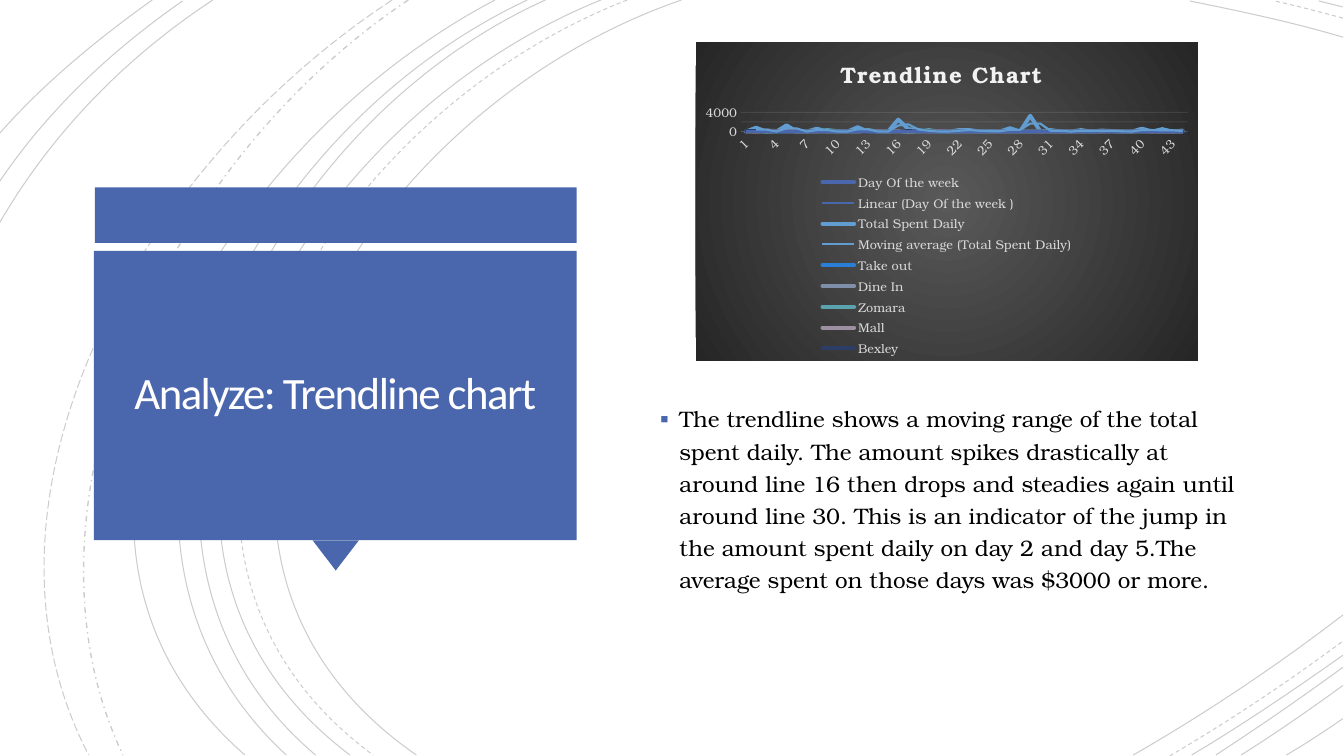
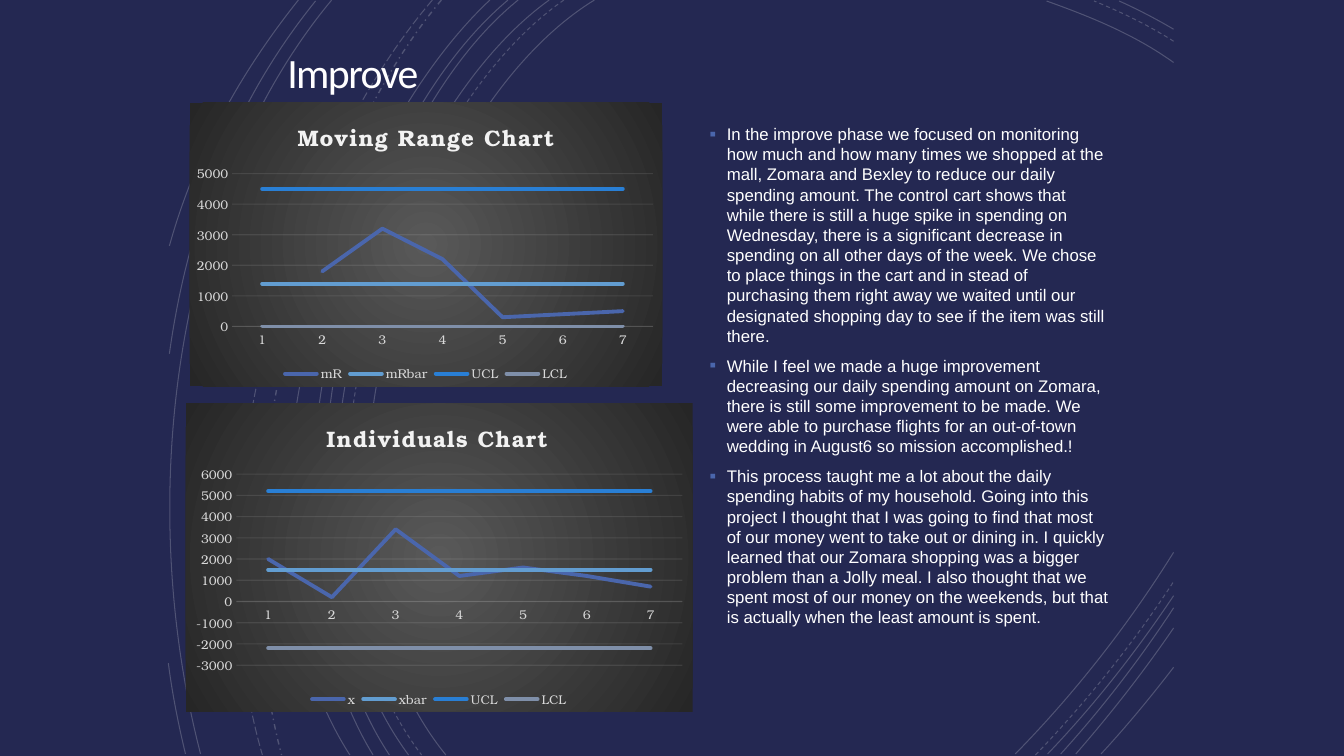
from lxml import etree
from pptx import Presentation
from pptx.chart.data import CategoryChartData
from pptx.dml.color import RGBColor
from pptx.enum.chart import XL_CHART_TYPE, XL_LEGEND_POSITION, XL_TICK_MARK
from pptx.enum.dml import MSO_LINE
from pptx.enum.shapes import MSO_SHAPE
from pptx.enum.text import MSO_ANCHOR, PP_ALIGN
from pptx.oxml import parse_xml
from pptx.oxml.ns import nsdecls, qn
from pptx.util import Inches, Pt

# Colours and fonts
WHITE = RGBColor(0xFF, 0xFF, 0xFF)
BLACK = RGBColor(0, 0, 0)
NAVY = RGBColor(0x24, 0x28, 0x52)
TITLE_WHITE = RGBColor(0xFF, 0xFE, 0xFF)
BLUE = RGBColor(0x4A, 0x66, 0xAC)
AXIS_TEXT = RGBColor(0xD9, 0xD9, 0xD9)
PALE = RGBColor(0xF2, 0xF2, 0xF2)
SERIES_COLORS = [BLUE] + [RGBColor.from_string(code) for code in (
    "629DD1", "297FD5", "7F8FA9", "5AA2AE", "9D90A0", "2C3D67")]
TITLE_FONT, SERIF, SANS = "Calibri", "TeX Gyre Bonum", "Arial"
PLAIN_TABLE_STYLE = "{2D5ABB26-0587-4C30-8999-92F81FD0307C}"

LINE = XL_CHART_TYPE.LINE
LEGEND_BOTTOM = XL_LEGEND_POSITION.BOTTOM
NO_TICK = XL_TICK_MARK.NONE
SOLID, DASH = MSO_LINE.SOLID, MSO_LINE.DASH
DASH_DOT, LONG_DASH = MSO_LINE.DASH_DOT, MSO_LINE.LONG_DASH
RECTANGLE, TRIANGLE = MSO_SHAPE.RECTANGLE, MSO_SHAPE.ISOSCELES_TRIANGLE
MIDDLE, CENTER = MSO_ANCHOR.MIDDLE, PP_ALIGN.CENTER

# Long sweeps: Bézier points x, y four times, then the dash
SWEEPS = [
    (6.76, 0, 3.41, 1.15, 1.11, 5.4, 4.13, 7.49, SOLID),
    (6.22, 0, 3.01, 1.25, 0.84, 5.38, 3.7, 7.49, DASH),
    (5.96, 0, 2.81, 1.27, 0.67, 5.37, 3.47, 7.49, SOLID),
    (5.41, 0, 2.46, 1.33, 0.67, 5.41, 3.13, 7.49, SOLID),
    (5.23, 0, 2.29, 1.38, 0.5, 5.34, 2.84, 7.49, SOLID),
    (4.91, 0, 2.11, 1.47, -0.09, 5.29, 2.43, 7.49, SOLID),
    (4.05, 0, 1.56, 1.66, 0.08, 5.09, 1.22, 7.49, DASH_DOT),
    (3.89, 0, 1.31, 1.69, -0.42, 4.99, 0.88, 7.49, LONG_DASH),
]
WIDE_CORNERS = [
    (13.32, 0.37, 12.82, 0.22, 12.29, 0.11, 11.8, 0.01, SOLID),
    (11.24, 7.49, 11.97, 7.07, 12.67, 6.6, 13.32, 6.1, SOLID),
    (13.32, 0.18, 13.09, 0.12, 12.87, 0.06, 12.64, 0.01, DASH),
    (11.6, 7.5, 12.2, 7.15, 12.78, 6.76, 13.32, 6.36, DASH),
    (13.32, 0.07, 13.24, 0.05, 13.16, 0.03, 13.08, 0.01, SOLID),
    (11.82, 7.49, 12.34, 7.18, 12.84, 6.84, 13.32, 6.5, SOLID),
    (12.06, 7.49, 12.49, 7.21, 12.91, 6.92, 13.32, 6.62, SOLID),
    (12.31, 7.49, 12.66, 7.27, 12.99, 7.04, 13.32, 6.8, SOLID),
    (12.76, 7.49, 12.95, 7.38, 13.13, 7.26, 13.32, 7.13, SOLID),
    (2.11, 0, 1.17, 0.62, 0.47, 1.39, -0.01, 2.22, SOLID),
    (1.81, 0.01, 1.05, 0.54, 0.44, 1.14, -0.01, 1.81, SOLID),
    (1.51, 0, 0.95, 0.4, 0.42, 0.84, -0.01, 1.33, SOLID),
]
NARROW_CORNERS = [
    (11.64, 0.62, 11.25, 0.34, 10.8, 0.16, 10.38, 0.01, SOLID),
    (10.07, 7.48, 10.64, 6.9, 11.18, 6.22, 11.64, 5.48, SOLID),
    (11.64, 0.41, 11.39, 0.25, 11.12, 0.12, 10.85, 0.01, DASH),
    (10.27, 7.49, 10.76, 6.98, 11.23, 6.4, 11.64, 5.77, DASH),
    (11.64, 0.29, 11.47, 0.19, 11.28, 0.09, 11.1, 0.01, SOLID),
    (10.39, 7.48, 10.84, 7.01, 11.26, 6.48, 11.64, 5.91, SOLID),
    (10.52, 7.48, 10.92, 7.04, 11.3, 6.55, 11.64, 6.03, SOLID),
    (10.67, 7.48, 11.01, 7.09, 11.34, 6.67, 11.64, 6.23, SOLID),
    (10.92, 7.48, 11.17, 7.21, 11.41, 6.92, 11.64, 6.62, SOLID),
    (3.29, 0, 1.75, 1.85, 1.32, 4.9, 1.99, 7.48, SOLID),
    (3.13, 0.01, 2.36, 0.96, 1.87, 2.14, 1.68, 3.51, SOLID),
    (1.67, 6.58, 1.71, 6.89, 1.77, 7.19, 1.84, 7.48, SOLID),
    (2.96, 0, 2.41, 0.69, 1.94, 1.5, 1.68, 2.44, SOLID),
]

# Texts
TREND_TEXT = (
    "The trendline shows a moving range of the total spent daily. The amount spikes drastically at around "
    "line 16 then drops and steadies again until around line 30. This is an indicator of the jump in the "
    "amount spent daily on day 2 and day 5.The average spent on those days was $3000 or more.")
IMPROVE_TEXTS = [
    "In the improve phase we focused on monitoring how much and how many times we shopped at the mall, "
    "Zomara and Bexley to reduce our daily spending amount. The control cart shows that  while there is still "
    "a huge spike in spending on Wednesday, there is a significant decrease in spending on all other days of "
    "the week. We chose to place things in the cart and in stead of purchasing them right away we waited "
    "until our designated shopping day to see if the item was still there.",
    "While I feel we made a huge improvement decreasing our daily spending amount on Zomara, there is still "
    "some improvement to be made. We were able to purchase flights for an out-of-town wedding in August6 so "
    "mission accomplished.!",
    "This process taught me a lot about the daily spending habits of my household. Going into this project I "
    "thought that I was going to find that most of our money went to take out or dining in. I quickly learned "
    "that our Zomara shopping was a bigger problem than a Jolly meal. I also thought that we spent most of "
    "our money on the weekends, but that is actually when the least amount is spent.",
]


def by_day(spent):
    """44 daily amounts, zero except on the days given."""
    return [spent.get(day, 0) for day in range(1, 45)]


DAILY_SPENDING = {
    "Day Of the week ": by_day({}),
    "Total Spent Daily": by_day({
        2: 800, 5: 1300, 8: 600, 12: 900, 16: 2500, 17: 500, 18: 300, 22: 300, 23: 300, 25: 100, 27: 700,
        29: 3300, 31: 300, 34: 300, 36: 200, 37: 100, 40: 600, 42: 500, 44: 200}),
    "Take out": by_day({}),
    "Dine In ": by_day({1: 100, 13: 100, 37: 100, 40: 200}),
    "Zomara": by_day({1: 100, 2: 100, 9: 300, 10: 100, 13: 300, 19: 300}),
    "Mall": by_day({3: 200, 4: 100, 5: 200, 13: 100, 14: 100, 16: 100, 20: 100}),
    "Bexley": by_day({1: 100, 2: 100, 3: 100, 17: 100}),
}
MOVING_RANGE = {"mR": [None, 1800, 3200, 2200, 300, 400, 500],
                "mRbar": [1400] * 7, "UCL": [4500] * 7, "LCL": [0] * 7}
INDIVIDUALS = {"x": [2000, 200, 3400, 1200, 1600, 1200, 700],
               "xbar": [1500] * 7, "UCL": [5200] * 7, "LCL": [-2200] * 7}


def set_font(font, name, size, color, bold=None):
    font.name, font.size, font.bold = name, Pt(size), bold
    font.color.rgb = color


def faint_line(line, color, percent):
    """Thin line that lets the ground show through."""
    line.color.rgb = color
    line.width = Pt(0.75)
    for paint in line._get_or_add_ln().iter(qn("a:srgbClr")):
        etree.SubElement(paint, qn("a:alpha")).set("val", str(percent * 1000))


def add_curve(slide, curve, color, scale=1, offset=0):
    """One Bézier arc, made from the polygon of its control points."""
    *coords, dash = curve
    points = [(Inches(offset + scale * x), Inches(y)) for x, y in zip(coords[::2], coords[1::2])]
    builder = slide.shapes.build_freeform(*points[0])
    builder.add_line_segments(points[1:], close=False)
    arc = builder.convert_to_shape()
    outline = arc._element.find(".//" + qn("a:path"))
    sides = outline.findall(qn("a:lnTo"))
    bend = etree.SubElement(outline, qn("a:cubicBezTo"))
    for side in sides:
        bend.append(side.find(qn("a:pt")))
        outline.remove(side)
    arc.shadow.inherit = False
    arc.fill.background()
    faint_line(arc.line, color, 20)
    arc.line.dash_style = dash
    if dash == DASH_DOT:
        arc.line.width = Pt(1)


def add_band(slide, kind, box, rotation=0):
    band = slide.shapes.add_shape(kind, *map(Inches, box))
    band.shadow.inherit = False
    band.rotation = rotation
    band.fill.solid()
    band.fill.fore_color.rgb = BLUE
    band.line.fill.background()


def start_slide(prs, ground, curve_color, corners, scale=1, offset=0):
    """Title-only slide with its ground and curves."""
    slide = prs.slides.add_slide(prs.slide_layouts[5])
    slide.background.fill.solid()
    slide.background.fill.fore_color.rgb = ground
    for curve in SWEEPS:
        add_curve(slide, curve, curve_color, scale, offset)
    for curve in corners:
        add_curve(slide, curve, curve_color)
    return slide


def place_title(slide, text, box, size):
    title = slide.shapes.title
    slide.shapes._spTree.append(title._element)  # bring in front of the bands
    title.left, title.top, title.width, title.height = map(Inches, box)
    frame = title.text_frame
    frame.text = text
    frame.word_wrap = True
    frame.vertical_anchor = MIDDLE
    frame.margin_left = frame.margin_right = frame.margin_top = frame.margin_bottom = Inches(0.1)
    heading = frame.paragraphs[0]
    heading.alignment = CENTER
    heading.line_spacing = 0.85
    set_font(heading.runs[0].font, TITLE_FONT, size, TITLE_WHITE)
    heading.runs[0]._r.get_or_add_rPr().set("spc", "-110")


def add_bullets(slide, texts, box, font, size, color, indent, spacing):
    frame = slide.shapes.add_textbox(*map(Inches, box)).text_frame
    frame.word_wrap = True
    for index, text in enumerate(texts):
        point = frame.add_paragraph() if index else frame.paragraphs[0]
        point.text = text
        point.line_spacing = spacing
        if index:
            point.space_before = Pt(7)
        props = point._p.get_or_add_pPr()
        props.set("marL", str(Inches(indent)))
        props.set("indent", str(-Inches(indent)))
        bullet_color = etree.SubElement(props, qn("a:buClr"))
        etree.SubElement(bullet_color, qn("a:srgbClr")).set("val", str(BLUE))
        etree.SubElement(props, qn("a:buSzPct")).set("val", "110000")
        etree.SubElement(props, qn("a:buFont")).set("typeface", TITLE_FONT)
        etree.SubElement(props, qn("a:buChar")).set("char", "▪")
        set_font(point.runs[0].font, font, size, color)


def add_blank_table(slide, box, row_height):
    """Single empty cell without fill or borders."""
    table = slide.shapes.add_table(1, 1, *map(Inches, box)).table
    table.first_row = table.horz_banding = False
    table._tbl.tblPr.find(qn("a:tableStyleId")).text = PLAIN_TABLE_STYLE
    table.rows[0].height = Inches(row_height)
    cell = table.cell(0, 0)
    cell.fill.background()
    cell.margin_left = cell.margin_right = cell.margin_top = cell.margin_bottom = 0


def set_layout(parent, index, **fractions):
    """Fix the place of a chart part, in fractions of the chart."""
    for old in parent.findall(qn("c:layout")):
        parent.remove(old)
    inner = '<c:layoutTarget val="inner"/>' if "w" in fractions else ""
    modes = "".join(f'<c:{key}Mode val="edge"/>' for key in "xy")
    sizes = "".join(f'<c:{key} val="{value}"/>' for key, value in fractions.items())
    parent.insert(index, parse_xml(
        f'<c:layout {nsdecls("c")}><c:manualLayout>{inner}{modes}{sizes}</c:manualLayout></c:layout>'))


def add_trendline(series, kind, color):
    detail = '<c:period val="2"/>' if kind == "movingAvg" else ""
    series._element.find(qn("c:cat")).addprevious(parse_xml(
        f'<c:trendline {nsdecls("c", "a")}><c:spPr><a:ln w="{Pt(1.5)}"><a:solidFill>'
        f'<a:srgbClr val="{color}"/></a:solidFill></a:ln></c:spPr><c:trendlineType val="{kind}"/>{detail}'
        '<c:dispRSqr val="0"/><c:dispEq val="0"/></c:trendline>'))


def add_line_chart(slide, title, box, data, scale, title_at, plot_at, color):
    """Line chart on a dark radial ground; scale is minimum, maximum, step."""
    chart_data = CategoryChartData()
    chart_data.categories = [str(n + 1) for n in range(len(next(iter(data.values()))))]
    for name, values in data.items():
        chart_data.add_series(name, values)
    chart = slide.shapes.add_chart(LINE, *map(Inches, box), chart_data).chart
    set_font(chart.font, SERIF, 10, color)
    chart._chartSpace.find(qn("c:chart")).addnext(parse_xml(
        f'<c:spPr {nsdecls("c", "a")}><a:gradFill><a:gsLst>'
        '<a:gs pos="0"><a:srgbClr val="595959"/></a:gs><a:gs pos="100000"><a:srgbClr val="262626"/></a:gs>'
        '</a:gsLst><a:path path="circle"><a:fillToRect l="50000" t="50000" r="50000" b="50000"/></a:path>'
        '</a:gradFill><a:ln><a:noFill/></a:ln></c:spPr>'))

    # Title, legend and plot area
    chart.has_title = True
    chart.chart_title.text_frame.text = title
    title_run = chart.chart_title.text_frame.paragraphs[0].runs[0]
    set_font(title_run.font, SERIF, 16, PALE, bold=True)
    title_run._r.get_or_add_rPr().set("spc", "100")
    set_layout(chart.chart_title._element, 1, **dict(zip("xy", title_at)))
    set_layout(chart._chartSpace.chart.plotArea, 0, **dict(zip("xywh", plot_at)))
    chart.has_legend = True
    chart.legend.position = LEGEND_BOTTOM
    chart.legend.include_in_layout = False
    set_font(chart.legend.font, SERIF, 9, AXIS_TEXT)

    # Axes
    days, amounts = chart.category_axis, chart.value_axis
    for axis in (days, amounts):
        axis.major_tick_mark = axis.minor_tick_mark = NO_TICK
        set_font(axis.tick_labels.font, SERIF, 9, AXIS_TEXT)
    faint_line(days.format.line, PALE, 10)
    amounts.format.line.fill.background()
    amounts.minimum_scale, amounts.maximum_scale, amounts.major_unit = scale
    faint_line(amounts.major_gridlines.format.line, PALE, 10)

    # Series
    chart.plots[0].vary_by_categories = False
    for series, series_color in zip(chart.plots[0].series, SERIES_COLORS):
        series.smooth = False
        series.format.line.color.rgb = series_color
        series.format.line.width = Pt(2.75)
        series.format.line._get_or_add_ln().set("cap", "rnd")
    return chart


def build_trendline_slide(prs):
    slide = start_slide(prs, WHITE, BLACK, WIDE_CORNERS)
    add_band(slide, RECTANGLE, (0.94, 1.86, 4.78, 0.55))
    add_band(slide, TRIANGLE, (3.1, 5.36, 0.46, 0.3), rotation=180)
    add_band(slide, RECTANGLE, (0.93, 2.49, 4.79, 2.87))
    place_title(slide, "Analyze: Trendline chart", (1.05, 2.58, 4.55, 2.69), 32)
    add_bullets(slide, [TREND_TEXT], (6.45, 3.92, 5.97, 2.7), SERIF, 16, BLACK, 0.19, 1.2)
    chart = add_line_chart(slide, "Trendline Chart", (6.9, 0.42, 4.98, 3.16), DAILY_SPENDING,
                           (0, 4000, 2000), (0.28, 0.03), (0.09, 0.22, 0.89, 0.06), BLACK)
    weekday, total = list(chart.plots[0].series)[:2]
    add_trendline(weekday, "linear", SERIES_COLORS[0])
    add_trendline(total, "movingAvg", SERIES_COLORS[1])
    # Every third day is labelled, at a slant
    days = chart.category_axis._element
    days.find(qn("c:txPr")).find(qn("a:bodyPr")).set("rot", "-2700000")
    days.find(qn("c:noMultiLvlLbl")).addprevious(parse_xml(f'<c:tickLblSkip {nsdecls("c")} val="3"/>'))


def build_improve_slide(prs):
    slide = start_slide(prs, NAVY, WHITE, NARROW_CORNERS, scale=0.56, offset=2.11)
    place_title(slide, "Improve", (1.9, 0.17, 3.2, 1.17), 29.8)
    add_bullets(slide, IMPROVE_TEXTS, (6.94, 1.18, 4.19, 5.74), SANS, 12, WHITE, 0.17, 1.0)
    add_line_chart(slide, "Moving Range Chart", (1.88, 1.02, 4.69, 2.81), MOVING_RANGE,
                   (0, 5000, 1000), (0.22, 0.04), (0.09, 0.25, 0.89, 0.54), WHITE)
    add_blank_table(slide, (7.65, 4.27, 0.9, 0.2), 0.12)
    add_line_chart(slide, "Individuals Chart", (1.84, 4, 5.03, 3.06), INDIVIDUALS,
                   (-3000, 6000, 1000), (0.27, 0.04), (0.1, 0.23, 0.88, 0.62), WHITE)


def main():
    prs = Presentation()
    prs.slide_width, prs.slide_height = Inches(13.33), Inches(7.5)
    build_trendline_slide(prs)
    build_improve_slide(prs)
    prs.save("out.pptx")


if __name__ == "__main__":
    main()
